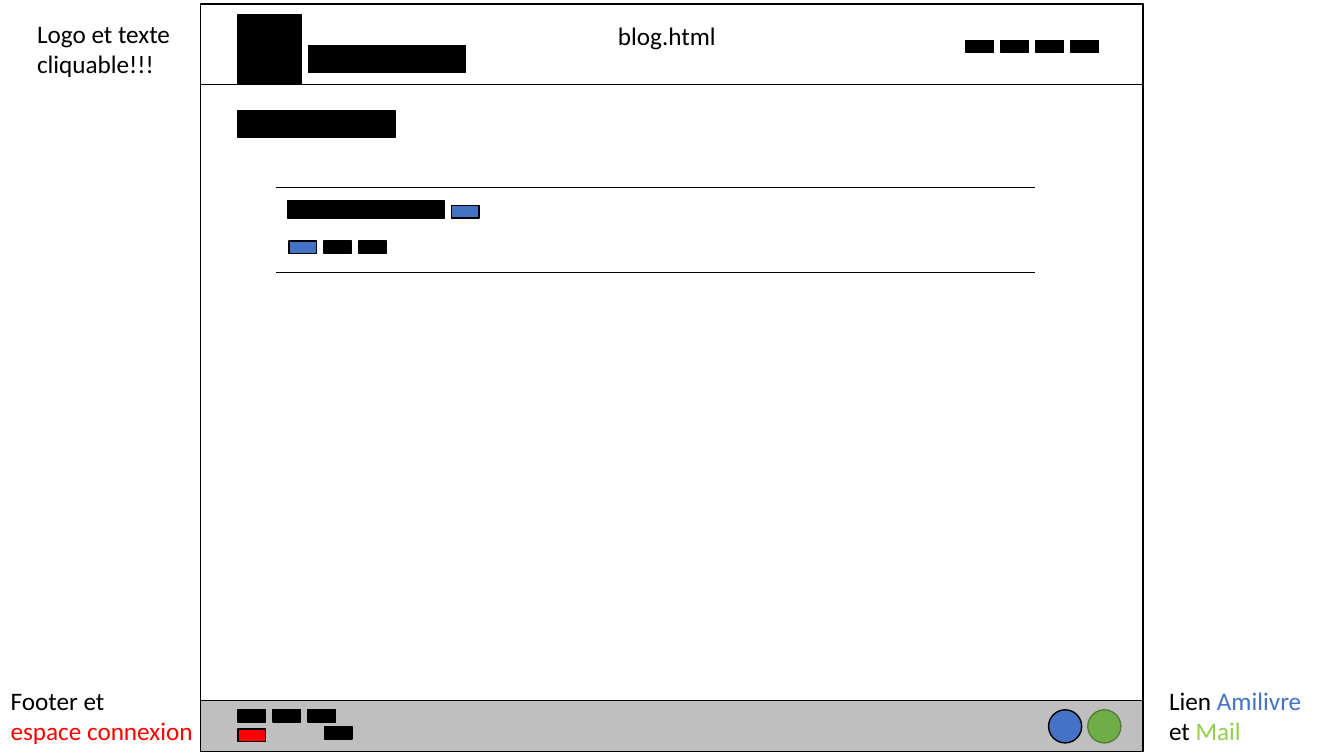
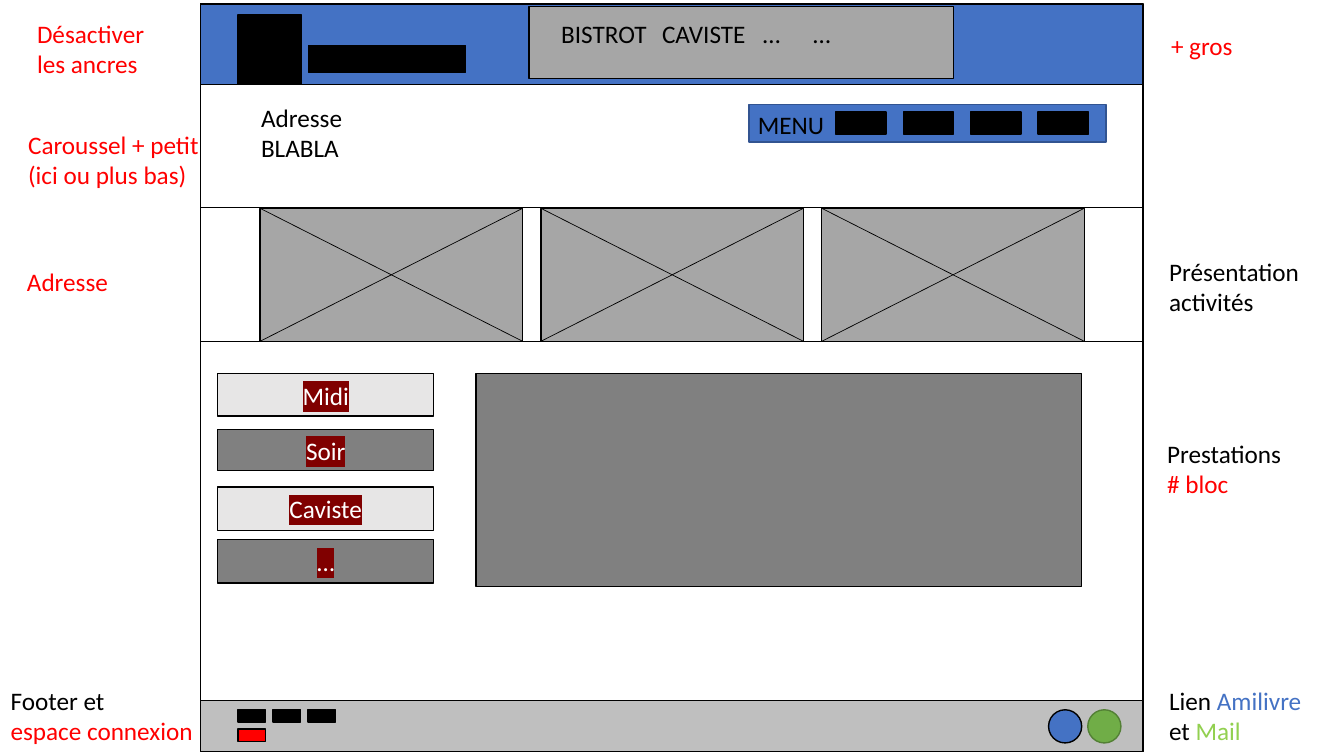
from dataclasses import dataclass

from lxml import etree
from pptx import Presentation
from pptx.dml.color import RGBColor
from pptx.enum.shapes import MSO_CONNECTOR, MSO_SHAPE
from pptx.enum.text import MSO_ANCHOR, MSO_AUTO_SIZE, PP_ALIGN
from pptx.oxml.ns import qn
from pptx.util import Pt

RECT, OVAL = MSO_SHAPE.RECTANGLE, MSO_SHAPE.OVAL
STRAIGHT = MSO_CONNECTOR.STRAIGHT
TOP, MIDDLE = MSO_ANCHOR.TOP, MSO_ANCHOR.MIDDLE
LEFT, CENTER = PP_ALIGN.LEFT, PP_ALIGN.CENTER
NO_AUTOFIT = MSO_AUTO_SIZE.NONE
TITLE_ONLY, BLANK = 5, 6


@dataclass(frozen=True)
class Theme:
    font: str = "Calibri"
    size: float = 18
    outline: float = 1
    hairline: float = 0.5
    black: str = "000000"
    white: str = "FFFFFF"
    red: str = "FF0000"
    maroon: str = "800000"
    blue: str = "4472C4"
    dark_blue: str = "325491"
    green: str = "70AD47"
    dark_green: str = "538035"
    lime: str = "92D050"
    pale: str = "E7E6E6"
    silver: str = "BFBFBF"
    gray: str = "A6A6A6"
    dark_gray: str = "808080"


T = Theme()
PAGE_X, PAGE_Y, PAGE_W, PAGE_H = 143.3, 3, 673.2, 534
HEADER_H = 57.5
CHIP_W, CHIP_H, CHIP_STEP = 19.7, 8.8, 25


def rgb(color):
    return RGBColor.from_string(color)


class Wireframe:
    """Holds the presentation, its theme and the slide being drawn."""

    def __init__(self, prs):
        self.prs = prs
        self.s = None

    def new_slide(self, layout):
        self.s = self.prs.slides.add_slide(self.prs.slide_layouts[layout])

    def style_run(self, r, color, highlight=None):
        r.font.name = T.font
        r.font.size = Pt(T.size)
        r.font.color.rgb = rgb(color)
        if highlight:
            mark = etree.Element(qn("a:highlight"))
            etree.SubElement(mark, qn("a:srgbClr"), val=highlight)
            r.font._element.find(qn("a:solidFill")).addnext(mark)

    def box(self, x, y, w, h, fill=None, line=T.black, shape=RECT):
        sp = self.s.shapes.add_shape(shape, Pt(x), Pt(y), Pt(w), Pt(h))
        sp.shadow.inherit = False
        if fill:
            sp.fill.solid()
            sp.fill.fore_color.rgb = rgb(fill)
        else:
            sp.fill.background()
        sp.line.color.rgb = rgb(line)
        sp.line.width = Pt(T.outline)
        return sp

    def line(self, x1, y1, x2, y2):
        c = self.s.shapes.add_connector(STRAIGHT, Pt(x1), Pt(y1), Pt(x2), Pt(y2))
        c.line.color.rgb = rgb(T.black)
        c.line.width = Pt(T.hairline)
        etree.SubElement(c._element.spPr, qn("a:effectLst"))

    def text(self, x, y, w, *lines):
        """Each line is a list of (text, colour) pairs."""
        sp = self.s.shapes.add_textbox(Pt(x), Pt(y), Pt(w), Pt(14.4 + 18 * len(lines)))
        tf = sp.text_frame
        tf.word_wrap = True
        for i, pieces in enumerate(lines):
            p = tf.paragraphs[0] if i == 0 else tf.add_paragraph()
            for text, color in pieces:
                r = p.add_run()
                r.text = text
                self.style_run(r, color)

    def title(self, x, y, w, h, text):
        sp = self.s.shapes.title
        sp.left, sp.top, sp.width, sp.height = Pt(x), Pt(y), Pt(w), Pt(h)
        tf = sp.text_frame
        tf.text = text
        tf.auto_size = NO_AUTOFIT
        tf.vertical_anchor = TOP
        p = tf.paragraphs[0]
        p.alignment = LEFT
        self.style_run(p.runs[0], T.black)

    def button(self, y, h, label, fill):
        tf = self.box(155.5, y, 154.3, h, fill).text_frame
        tf.text = label
        tf.vertical_anchor = MIDDLE
        p = tf.paragraphs[0]
        p.alignment = CENTER
        self.style_run(p.runs[0], T.white, T.maroon)

    def chips(self, x, y, *fills):
        for i, fill in enumerate(fills):
            self.box(x + i * CHIP_STEP, y, CHIP_W, CHIP_H, fill)

    def photo(self, x, y, w, h):
        """Crossed box standing for a picture."""
        self.box(x, y, w, h, T.gray)
        self.line(x, y, x + w, y + h)
        self.line(x, y + h, x + w, y)

    def page(self, header_fill=None):
        """Browser page with header, site name, footer and margin notes."""
        self.box(PAGE_X, PAGE_Y, PAGE_W, HEADER_H, header_fill)
        self.box(PAGE_X, PAGE_Y, PAGE_W, PAGE_H)
        self.box(220.3, 32.4, 112.3, 19.4, T.black)
        self.box(170, 10.6, 45.4, 49.7, T.black)
        self.box(PAGE_X, 500.3, PAGE_W, 36.7, T.silver)
        self.chips(170, 507, T.black, T.black, T.black)
        self.chips(170, 520.8, T.red)
        self.box(777, 507, 23.7, 23.7, T.green, T.dark_green, OVAL)
        self.box(749, 507, 23.7, 23.7, T.blue, shape=OVAL)
        self.text(0.5, 486, 150, [("Footer et", T.black)],
                  [("espace connexion", T.red)])
        self.text(828, 486, 130, [("Lien ", T.black), ("Amilivre", T.blue)],
                  [("et ", T.black), ("Mail", T.lime)])


def blog_slide(wf):
    wf.new_slide(TITLE_ONLY)
    wf.page()
    wf.chips(690, 28.8, *[T.black] * 4)
    wf.chips(231.8, 519, T.black)
    wf.text(19.4, 9.4, 111, [("Logo et texte cliquable!!!", T.black)])
    wf.title(434.2, 11.2, 111, 29, "blog.html")
    wf.box(170, 78.8, 112.3, 19.4, T.black)
    for y in (134, 194.6):
        wf.line(197.5, y, 739.5, y)
    wf.box(205.2, 143.5, 112.3, 12.2, T.black)
    wf.chips(322.6, 147, T.blue)
    wf.chips(206.3, 172.2, T.blue, T.black, T.black)


def home_slide(wf):
    wf.new_slide(BLANK)
    wf.page(T.blue)

    wf.box(378, 4.5, 303.2, 51.6, T.gray)
    wf.text(393.8, 9.8, 250, [("BISTROT\tCAVISTE\t…\t…", T.black)])
    wf.text(179.4, 69.5, 80, [("Adresse", T.black)], [("BLABLA", T.black)])
    wf.box(535, 74.8, 255, 26.8, T.blue, T.dark_blue)
    wf.text(534.2, 74.8, 68, [("MENU", T.black)])
    for i in range(4):
        wf.box(597 + 48.2 * i, 80, 36, 15.8, T.black)

    wf.box(PAGE_X, 148.4, PAGE_W, 95.6)
    for i in range(3):
        wf.photo(185.8 + 200.6 * i, 148.8, 187.5, 95)

    buttons = [(267, 30.2, "Midi"), (306.8, 29.5, "Soir"),
               (347.8, 31, "Caviste"), (385.5, 31, "…")]
    for i, (y, h, label) in enumerate(buttons):
        wf.button(y, h, label, T.dark_gray if i % 2 else T.pale)
    wf.box(340, 266.6, 432.6, 152.4, T.dark_gray)

    wf.text(19.4, 9.4, 111, [("Désactiver les ancres", T.red)])
    wf.text(13, 88.6, 155, [("Caroussel + petit", T.red)],
            [("(ici ou plus bas)", T.red)])
    wf.text(12.2, 186.5, 155, [("Adresse", T.red)])
    wf.text(829.4, 18, 80, [("+ gros", T.red)])
    wf.text(828, 179.3, 125, [("Présentation", T.black)], [("activités", T.black)])
    wf.text(826.6, 309.6, 115, [("Prestations", T.black)], [("# bloc", T.red)])


def main():
    prs = Presentation()
    prs.slide_width, prs.slide_height = Pt(960), Pt(540)
    wf = Wireframe(prs)
    blog_slide(wf)
    home_slide(wf)
    prs.save("out.pptx")


if __name__ == "__main__":
    main()
